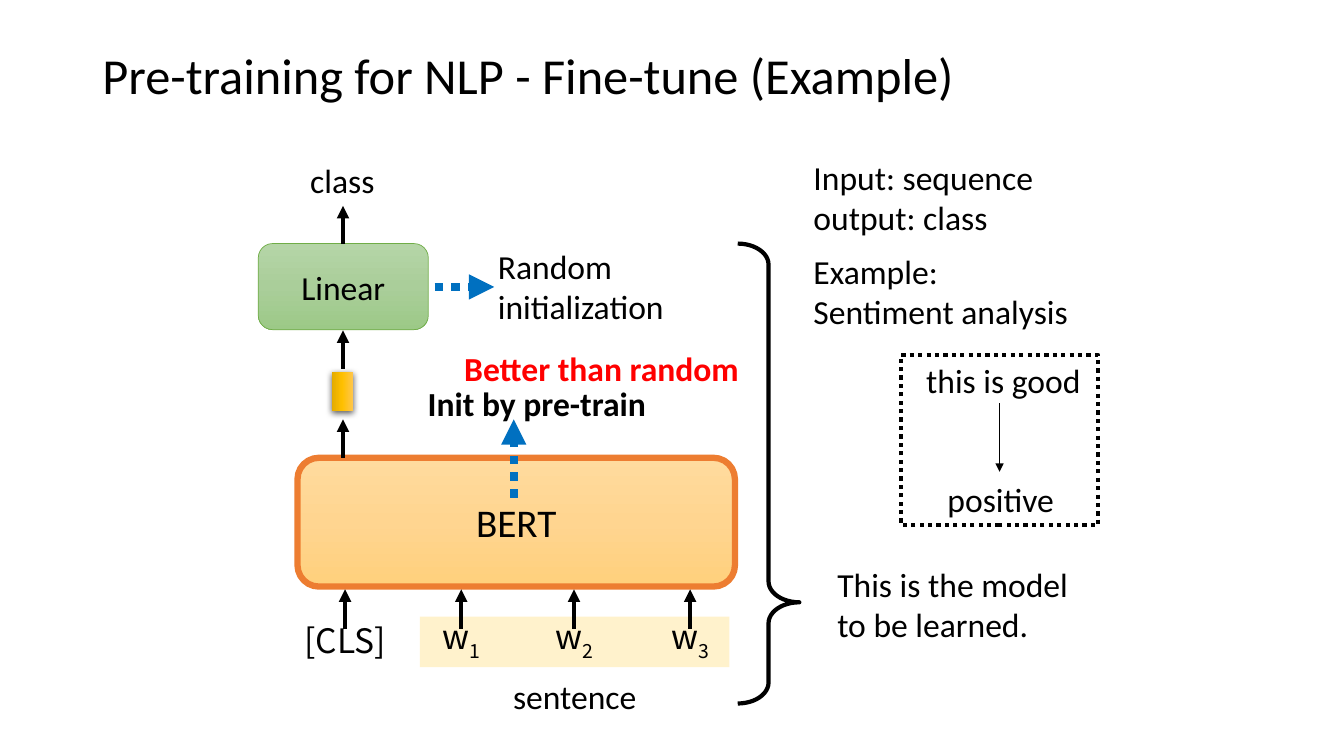
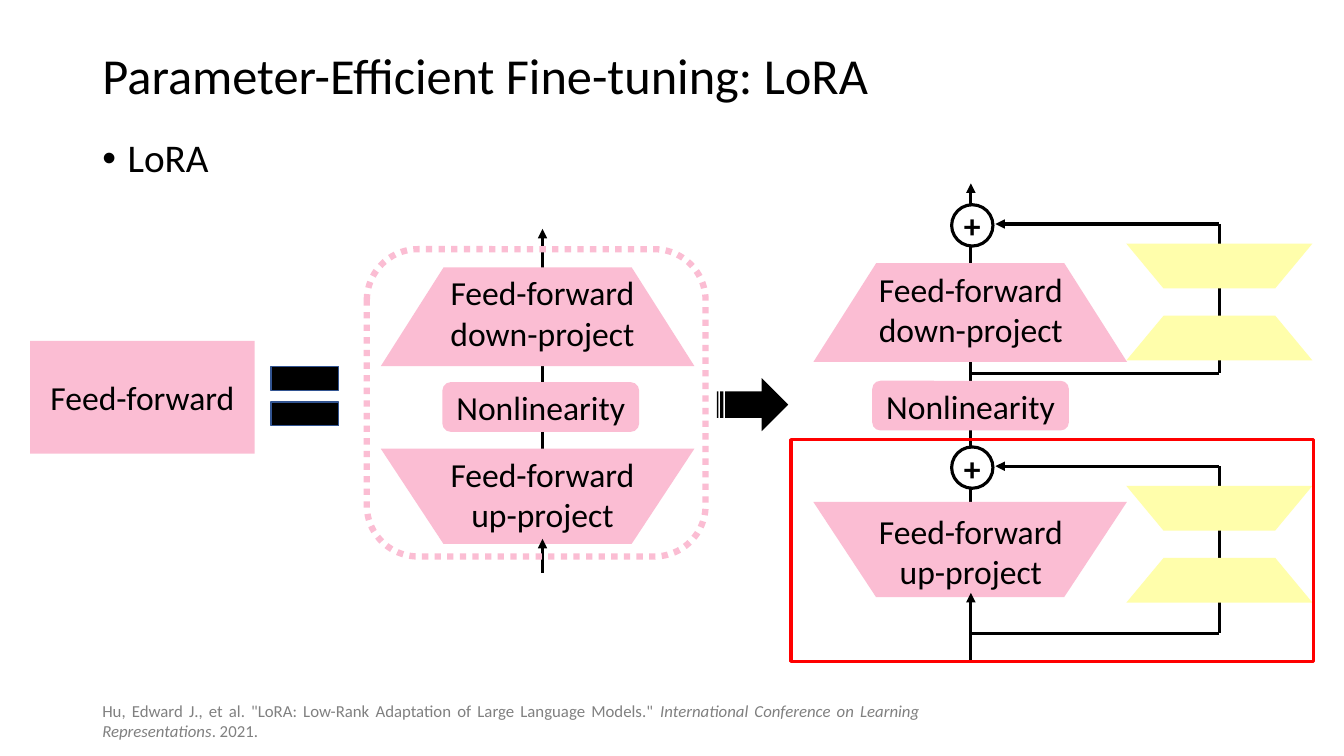
from copy import deepcopy
from pptx import Presentation
from pptx.dml.color import RGBColor
from pptx.enum.dml import MSO_LINE_DASH_STYLE as Dash
from pptx.enum.shapes import MSO_CONNECTOR, MSO_SHAPE as Kind
from pptx.enum.text import MSO_ANCHOR as Anchor, MSO_AUTO_SIZE, PP_ALIGN as Align
from pptx.oxml import parse_xml
from pptx.oxml.ns import nsdecls, qn
from pptx.oxml.xmlchemy import OxmlElement
from pptx.util import Pt

COLORS = {
    "black": "000000", "white": "FFFFFF", "red": "FF0000", "blue": "0070C0",
    "orange": "ED7D31", "green": "70AD47", "cream": "FFF2CC", "pink": "FBBDD3",
    "yellow": "FFFEAB", "navy": "325491", "gray": "808080",
}
GRADIENTS = {
    "bert": ("FFDB9E", "FFD590", "FFD07C"),
    "vector": ("FFC64B", "FFC000", "E3AB00"),
    "linear": ("B5D5A7", "AACE9A", "9CC987"),
}
FONT, TOKEN_FONT = "Calibri", "Noto Sans CJK SC"
TITLE_BOX = (66, 29, 828, 54)

FINE_TUNE_TITLE = "Pre-training for NLP - Fine-tune (Example)"
TOKENS = [("[CLS]", "", 246.5, 439), ("w", "1", 329.5, 436.5),
          ("w", "2", 410, 436.5), ("w", "3", 493, 436.5)]
FINE_TUNE_LABELS = [
    ("class", (214.5, 111, 70, 36), {}),
    ("Input: sequence\noutput: class", (574, 108.5, 192, 65.5), {}),
    ("sentence", (350.5, 479.5, 120, 36), {"align": Align.CENTER}),
    ("Example:\nSentiment analysis", (574, 175.5, 255, 65.5), {}),
    ("Random initialization", (348.5, 172, 150.5, 65.5), {}),
    ("Init by pre-train", (283.5, 270, 200, 36), {"align": Align.CENTER, "bold": True}),
    ("This is the model to be learned.", (591, 399, 202, 65.5), {}),
    ("this is good", (654.5, 253.5, 188.5, 36), {}),
    ("positive", (662.5, 338.5, 104.5, 36), {"align": Align.CENTER}),
    ("Better than random", (324.5, 245, 266.5, 36), {"color": "red", "bold": True}),
]
FLOW_ARROWS = [(327, 299.5), (263.5, 236), (174, 147)]
FLOW_X = 245

LORA_TITLE = "Parameter-Efficient Fine-tuning: LoRA"
LORA_BULLET = "LoRA"
DOWN_PROJECT = "Feed-forward\ndown-project"
UP_PROJECT = "Feed-forward\nup-project"
CITATION = [
    ('Hu, Edward J., et al. "LoRA: Low-Rank Adaptation of Large Language Models." ', False),
    ("International Conference on Learning Representations", True),
    (". 2021.", False),
]
STACKS = [
    {"left": 272, "stem": 387.5, "stem_y": (365, 163.5), "entry_y": (409, 385),
     "down": 191, "down_text": 191, "middle": (316, 273), "up": 320.5, "up_text": 320.5},
    {"left": 581, "stem": 693.5, "stem_y": (362, 131), "entry_y": (472.5, 423.5),
     "down": 188, "down_text": 188.5, "middle": (623, 272), "up": 358.5, "up_text": 361.5},
]
ADAPTERS = [(160, 266.5), (333, 452.5)]
ADAPTER_X, ADAPTER_WIDTH, ADAPTER_HEIGHT = 804.5, 133, 32
SUM_RADIUS = 14.75


def color_of(name):
    return RGBColor.from_string(COLORS[name])


def format_text(frame, size=24, color="black", bold=False, align=Align.LEFT,
                font=FONT, anchor=Anchor.TOP, spacing=None):
    frame.word_wrap = True
    frame.auto_size = MSO_AUTO_SIZE.NONE
    frame.vertical_anchor = anchor
    for paragraph in frame.paragraphs:
        paragraph.alignment = align
        paragraph.space_before = Pt(0)
        if spacing:
            paragraph.line_spacing = spacing
        for run in paragraph.runs:
            run.font.size = Pt(size)
            run.font.name = font
            run.font.bold = bold
            run.font.color.rgb = color_of(color)


def place(shape, box):
    shape.left, shape.top, shape.width, shape.height = map(Pt, box)


def add_text(slide, text, box, **style):
    shape = slide.shapes.add_textbox(*map(Pt, box))
    shape.text_frame.text = text
    format_text(shape.text_frame, **style)
    return shape


def set_line(line, color, width, dash=None):
    line.color.rgb = color_of(color)
    line.width = Pt(width)
    if dash:
        line.dash_style = dash


def add_shape(slide, kind, box, fill=None, line=None, text="", rotation=0, **style):
    shape = slide.shapes.add_shape(kind, *map(Pt, box))
    shape.shadow.inherit = False
    shape.rotation = rotation
    if fill in GRADIENTS:
        shape.fill.gradient()
        shape.fill.gradient_angle = 270
        stops = shape._element.spPr.find(".//" + qn("a:gsLst"))
        stops.insert(1, deepcopy(stops[0]))
        for index, stop in enumerate(shape.fill.gradient_stops):
            stop.position = index / 2
            stop.color.rgb = RGBColor.from_string(GRADIENTS[fill][index])
    elif fill:
        shape.fill.solid()
        shape.fill.fore_color.rgb = color_of(fill)
    else:
        shape.fill.background()
    if line:
        set_line(shape.line, *line)
    else:
        shape.line.fill.background()
    if text:
        shape.text_frame.text = text
        format_text(shape.text_frame, align=Align.CENTER, anchor=Anchor.MIDDLE, **style)
    return shape


def add_line(slide, start, end, color="black", width=2.25, dash=None, arrow=False):
    connector = slide.shapes.add_connector(
        MSO_CONNECTOR.STRAIGHT, *map(Pt, (*start, *end)))
    set_line(connector.line, color, width, dash)
    properties = connector._element.spPr
    if arrow:
        head = OxmlElement("a:tailEnd")
        head.set("type", "triangle")
        properties.find(qn("a:ln")).append(head)
    properties.append(OxmlElement("a:effectLst"))


def add_slide(presentation, layout, title):
    slide = presentation.slides.add_slide(presentation.slide_layouts[layout])
    place(slide.shapes.title, TITLE_BOX)
    slide.shapes.title.text_frame.text = title
    format_text(slide.shapes.title.text_frame, size=36, anchor=Anchor.MIDDLE, spacing=0.9)
    return slide


def add_soft_shadow(shape):
    effects = shape._element.spPr.find(qn("a:effectLst"))
    effects.append(parse_xml(
        f'<a:outerShdw {nsdecls("a")} blurRad="{Pt(4.5)}" dist="{Pt(1.5)}" dir="5400000" '
        'algn="ctr" rotWithShape="0"><a:srgbClr val="000000"><a:alpha val="63000"/>'
        '</a:srgbClr></a:outerShdw>'))


def add_token(slide, word, subscript, center, top):
    label = add_text(slide, word, (center - 44, top, 88, 40),
                     align=Align.CENTER, font=TOKEN_FONT)
    if subscript:
        run = label.text_frame.paragraphs[0].add_run()
        run.text = subscript
        format_text(label.text_frame, align=Align.CENTER, font=TOKEN_FONT)
        run._r.get_or_add_rPr().set("baseline", "-25000")
    add_line(slide, (center, 449), (center, 421), width=3, arrow=True)


def build_fine_tune(presentation):
    slide = add_slide(presentation, 5, FINE_TUNE_TITLE)
    add_shape(slide, Kind.RECTANGLE, (300, 440.5, 221, 36), "cream")
    add_shape(slide, Kind.ROUNDED_RECTANGLE, (212.5, 327, 312.5, 92), "bert",
              ("orange", 4.5), "BERT", size=28)
    for token in TOKENS:
        add_token(slide, *token)
    vector = add_shape(slide, Kind.RECTANGLE, (230.5, 272, 28, 15), "vector", rotation=90)
    add_soft_shadow(vector)
    add_shape(slide, Kind.ROUNDED_RECTANGLE, (184.5, 174, 121.5, 61.5), "linear",
              ("green", 0.5), "Linear")
    for bottom, top in FLOW_ARROWS:
        add_line(slide, (FLOW_X, bottom), (FLOW_X, top), width=3, arrow=True)
    for start, end in [((310.5, 205), (353, 205)), ((367, 355.5), (367, 299.5))]:
        add_line(slide, start, end, "blue", 6, Dash.ROUND_DOT, True)
    brace = add_shape(slide, Kind.RIGHT_BRACE, (527, 174, 44, 328.5), line=("black", 3))
    brace.adjustments[0], brace.adjustments[1] = 0.34, 0.78
    add_shape(slide, Kind.RECTANGLE, (643.5, 253.5, 141, 121.5),
              line=("black", 3, Dash.ROUND_DOT))
    add_line(slide, (714, 288), (714, 337), width=0.5, arrow=True)
    for text, box, style in FINE_TUNE_LABELS:
        add_text(slide, text, box, **style)


def add_bullet(slide):
    body = slide.placeholders[1]
    place(body, (66, 95.5, 828, 40))
    body.text_frame.text = LORA_BULLET
    properties = body.text_frame.paragraphs[0]._p.get_or_add_pPr()
    properties.set("marL", str(Pt(18)))
    properties.set("indent", str(Pt(-18)))
    bullet = OxmlElement("a:buChar")
    bullet.set("char", "•")
    properties.append(bullet)
    format_text(body.text_frame, size=28, align=Align.JUSTIFY, spacing=0.9)


def add_stack(slide, stack):
    left, stem = stack["left"], stack["stem"]
    bottom, top = stack["stem_y"]
    add_line(slide, (stem, bottom), (stem, top), arrow=True)
    for key, text, height, rotation in [("down", DOWN_PROJECT, 70.5, 180),
                                        ("up", UP_PROJECT, 68, 0)]:
        add_shape(slide, Kind.FLOWCHART_MANUAL_OPERATION,
                  (left, stack[key], 224, height), "pink", rotation=rotation)
        add_text(slide, text, (stem - 112, stack[key + "_text"], 224, 65.5),
                 align=Align.CENTER)
    add_shape(slide, Kind.ROUNDED_RECTANGLE, (*stack["middle"], 140.5, 35.5), "pink",
              text="Nonlinearity")
    bottom, top = stack["entry_y"]
    add_line(slide, (stem, bottom), (stem, top), arrow=True)


def add_adapter(slide, stem, top, bottom):
    rail = ADAPTER_X + ADAPTER_WIDTH / 2
    add_line(slide, (rail, top), (rail, bottom))
    add_line(slide, (stem, bottom), (rail, bottom))
    add_line(slide, (rail, top), (stem + 17.5, top), arrow=True)
    for offset, rotation in [(14, 0), (65.5, 180)]:
        add_shape(slide, Kind.FLOWCHART_MANUAL_OPERATION,
                  (ADAPTER_X, top + offset, ADAPTER_WIDTH, ADAPTER_HEIGHT),
                  "yellow", rotation=rotation)
    diameter = 2 * SUM_RADIUS
    node = add_shape(slide, Kind.OVAL,
                     (stem + 1 - SUM_RADIUS, top + 1 - SUM_RADIUS, diameter, diameter),
                     "white", ("black", 2.25), "+", bold=True)
    frame = node.text_frame
    frame.margin_left = frame.margin_right = frame.margin_top = frame.margin_bottom = 0


def add_citation(slide):
    box = add_text(slide, "", (66, 500.5, 598, 29))
    paragraph = box.text_frame.paragraphs[0]
    for text, italic in CITATION:
        run = paragraph.add_run()
        run.text = text
        run.font.italic = italic
    format_text(box.text_frame, size=12, color="gray", align=Align.JUSTIFY,
                anchor=Anchor.MIDDLE)


def build_lora(presentation):
    slide = add_slide(presentation, 1, LORA_TITLE)
    add_bullet(slide)
    add_shape(slide, Kind.RECTANGLE, (21.5, 243.5, 160.5, 80.5), "pink", text="Feed-forward")
    add_shape(slide, Kind.MATH_EQUAL, (185, 247, 65.5, 72), "black", ("navy", 1))
    for stack in STACKS:
        add_stack(slide, stack)
    add_shape(slide, Kind.ROUNDED_RECTANGLE, (262, 178, 242, 219.5),
              line=("pink", 4.5, Dash.ROUND_DOT))
    add_shape(slide, Kind.STRIPED_RIGHT_ARROW, (512, 270, 51, 38), "black")
    for top, bottom in ADAPTERS:
        add_adapter(slide, STACKS[1]["stem"], top, bottom)
    add_shape(slide, Kind.RECTANGLE, (565, 314, 373, 158.5), line=("red", 2.25))
    add_citation(slide)


def main():
    presentation = Presentation()
    presentation.slide_width, presentation.slide_height = Pt(960), Pt(540)
    build_fine_tune(presentation)
    build_lora(presentation)
    presentation.save("out.pptx")


if __name__ == "__main__":
    main()
